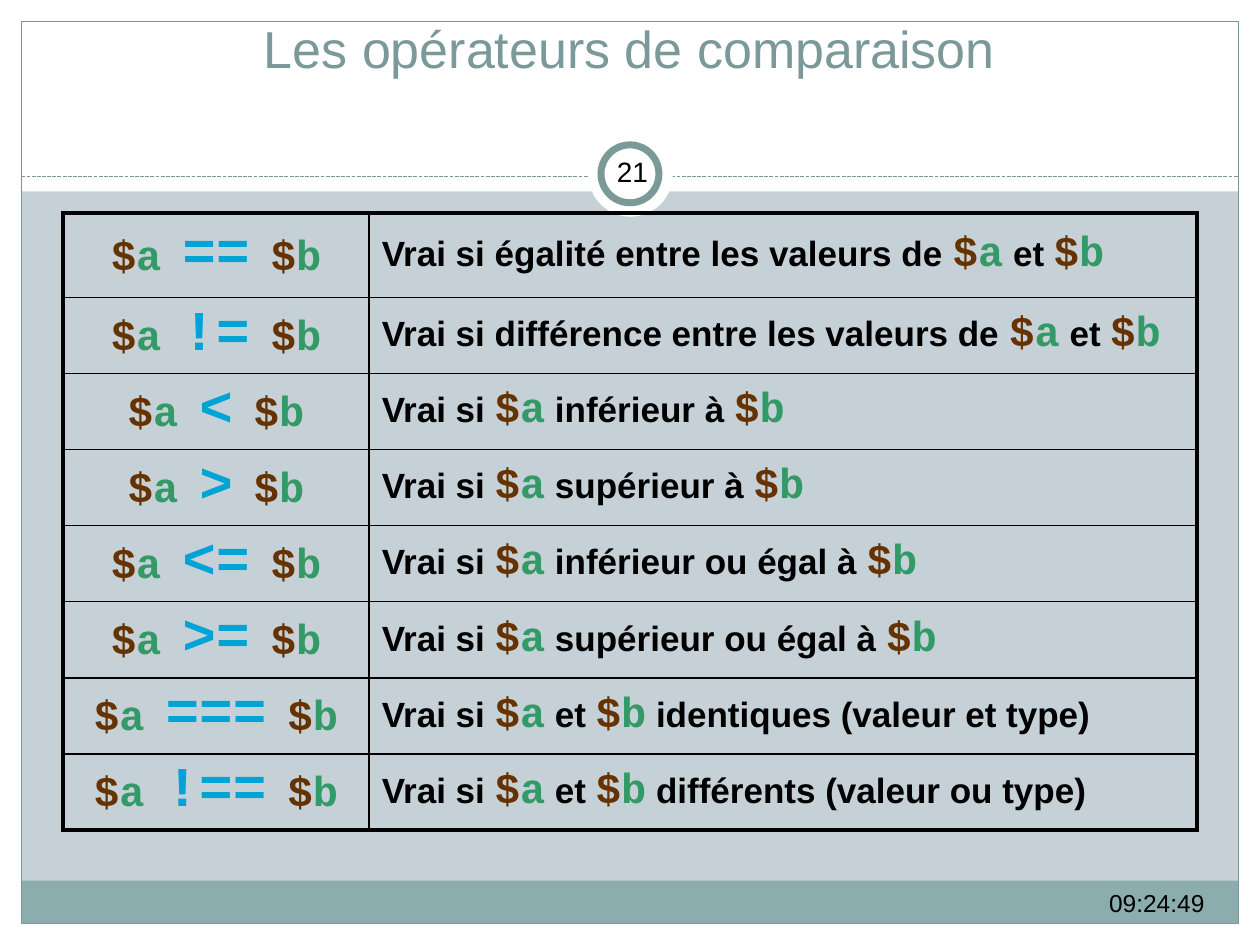
from lxml import etree
from pptx import Presentation
from pptx.dml.color import RGBColor
from pptx.enum.dml import MSO_LINE
from pptx.enum.shapes import MSO_CONNECTOR, MSO_SHAPE
from pptx.enum.text import MSO_ANCHOR, MSO_AUTO_SIZE, PP_ALIGN
from pptx.oxml import parse_xml
from pptx.oxml.ns import nsdecls, qn
from pptx.util import Inches, Pt

RECT, OVAL = MSO_SHAPE.RECTANGLE, MSO_SHAPE.OVAL
LEFT, MID, RIGHT = PP_ALIGN.LEFT, PP_ALIGN.CENTER, PP_ALIGN.RIGHT
TOP, CENTER, BOTTOM = MSO_ANCHOR.TOP, MSO_ANCHOR.MIDDLE, MSO_ANCHOR.BOTTOM
WIDE, HIGH, EDGE = 10, 7.5, 0.17
WHITE, TEAL, BLACK = "FFFFFF", "7C999A", "000000"
SANS, MONO = "Arial", "Courier New"


def tint(code):
    """Turn a hex string into a colour."""
    return RGBColor.from_string(code)


def write(para, text, size, name, code, bold=False):
    """Add one formatted run to a paragraph."""
    run = para.add_run()
    run.text = text
    look = {"size": Pt(size), "name": name, "bold": bold}
    for key, value in look.items():
        setattr(run.font, key, value)
    run.font.color.rgb = tint(code)


deck = Presentation()
deck.slide_width, deck.slide_height = Inches(WIDE), Inches(HIGH)
slide = deck.slides.add_slide(deck.slide_layouts[5])
slide.background.fill.solid()
slide.background.fill.fore_color.rgb = tint("C5D1D7")
shapes = slide.shapes

# Frame, dashed rule and number badge
inner = WIDE - 2 * EDGE
rule = shapes.add_connector(MSO_CONNECTOR.STRAIGHT, Inches(EDGE), Inches(1.4),
                            Inches(WIDE - EDGE), Inches(1.4))
rule.line.color.rgb = tint(TEAL)
rule.line.width = Pt(0.75)
rule.line.dash_style = MSO_LINE.SQUARE_DOT
etree.SubElement(rule._element.spPr, qn("a:effectLst"))

parts = [
    (RECT, 0, HIGH - EDGE, WIDE, EDGE, WHITE, 0),
    (RECT, 0, 0, WIDE, 1.52, WHITE, 0),
    (RECT, 0, 0, EDGE, HIGH, WHITE, 0),
    (RECT, WIDE - EDGE, 0, EDGE, HIGH, WHITE, 0),
    (RECT, EDGE, 6.99, inner, 0.34, "8CADAE", 0),
    (RECT, EDGE, EDGE, inner, HIGH - 2 * EDGE, None, 0.75),
    (OVAL, 4.67, 1.05, 0.67, 0.67, WHITE, 0),
    (OVAL, 4.77, 1.15, 0.46, 0.46, WHITE, 4),
]
for kind, x, y, w, h, code, line in parts:
    if kind == OVAL and not line:
        shapes._spTree.append(rule._element)
    part = shapes.add_shape(kind, Inches(x), Inches(y), Inches(w), Inches(h))
    part.shadow.inherit = False
    if code:
        part.fill.solid()
        part.fill.fore_color.rgb = tint(code)
    else:
        part.fill.background()
    if line:
        part.line.color.rgb = tint(TEAL)
        part.line.width = Pt(line)
    else:
        part.line.fill.background()

# Title, clock and slide number
title = shapes.title
shapes._spTree.append(title._element)
clock = shapes.add_textbox(0, 0, 0, 0)
badge = shapes.add_textbox(0, 0, 0, 0)
labels = [
    (title, "Les opérateurs de comparaison", (0.5, 0.3, 9, 0.38),
     29.7, TEAL, MID, BOTTOM, 0.1),
    (clock, "09:24:49", (6.33, 7, 3.33, 0.4), 14, BLACK, RIGHT, TOP, 0.1),
    (badge, "21", (4.77, 1.12, 0.5, 0.48), 16, BLACK, MID, CENTER, 0.05),
]
for box, text, place, size, code, align, anchor, pad in labels:
    for key, value in zip(("left", "top", "width", "height"), place):
        setattr(box, key, Inches(value))
    frame = box.text_frame
    look = {"word_wrap": True, "auto_size": MSO_AUTO_SIZE.NONE,
            "vertical_anchor": anchor,
            "margin_left": Inches(pad), "margin_right": Inches(pad),
            "margin_top": Inches(0.05), "margin_bottom": Inches(0.05)}
    for key, value in look.items():
        setattr(frame, key, value)
    para = frame.paragraphs[0]
    para.alignment = align
    write(para, text, size, SANS, code)

# Table of operators: each $a and $b is split into coloured runs
rows = [
    ("==", "Vrai si égalité entre les valeurs de $a et $b"),
    ("!=", "Vrai si différence entre les valeurs de $a et $b"),
    ("<", "Vrai si $a inférieur à $b"),
    (">", "Vrai si $a supérieur à $b"),
    ("<=", "Vrai si $a inférieur ou égal à $b"),
    (">=", "Vrai si $a supérieur ou égal à $b"),
    ("===", "Vrai si $a et $b identiques (valeur et type)"),
    ("!==", "Vrai si $a et $b différents (valeur ou type)"),
]
styles = {"$": (24, MONO, "663300"), "a": (24, MONO, "339966"),
          "b": (24, MONO, "339966"), " ": (20, MONO, BLACK)}
styles.update({sign: (32, MONO, "00A3D6") for sign, _ in rows})
plain = (20, SANS, BLACK)

last = len(rows) - 1
grid = shapes.add_table(len(rows), 2, Inches(0.5), Inches(1.69),
                        Inches(9), Inches(4.87)).table
grid.first_row = grid.horz_banding = False
for col, width in zip(grid.columns, (2.43, 6.57)):
    col.width = Inches(width)
for r, (sign, text) in enumerate(rows):
    grid.rows[r].height = Inches(0.6 if r else 0.67)
    for c, line in enumerate((f"$a |{sign}| $b", text)):
        cell = grid.cell(r, c)
        cell.vertical_anchor = CENTER
        cell.fill.background()
        para = cell.text_frame.paragraphs[0]
        para.alignment = LEFT if c else MID
        for name in "ab":
            line = line.replace(f"${name}", f"|$|{name}|")
        for token in filter(None, line.split("|")):
            write(para, token, *styles.get(token, plain), bold=True)
        outer = {"L": c == 0, "R": c == 1, "T": r == 0, "B": r == last}
        for i, (side, thick) in enumerate(outer.items()):
            width = Pt(2.25 if thick else 1)
            cell._tc.get_or_add_tcPr().insert(i, parse_xml(
                f'<a:ln{side} {nsdecls("a")} w="{width}"><a:solidFill>'
                f'<a:srgbClr val="{BLACK}"/></a:solidFill></a:ln{side}>'))

deck.save("out.pptx")
